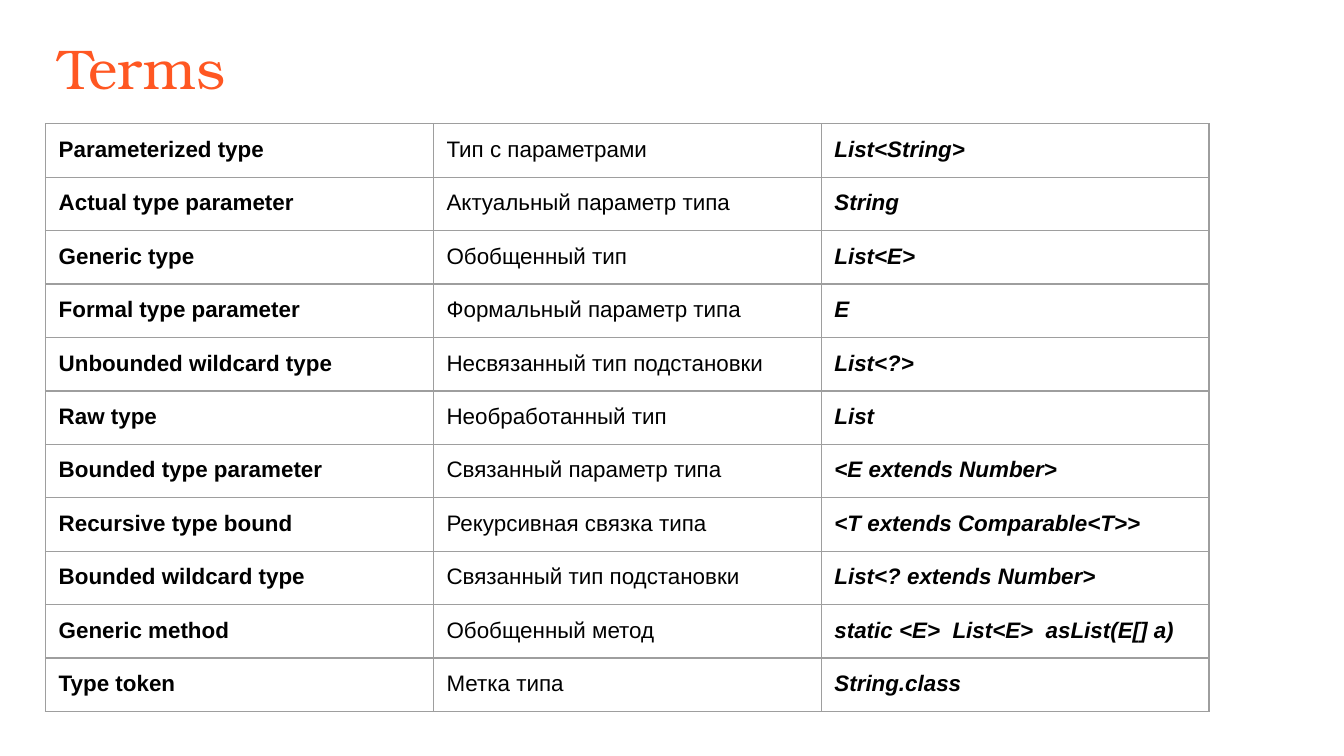
import pptx
import pptx.util
import pptx.dml.color
import pptx.enum.text
import pptx.oxml
from lxml import etree

Cm = pptx.util.Cm
Pt = pptx.util.Pt

TITLE = "Terms"
TERMS = [
    ("Parameterized type", "Тип с параметрами", "List<String>"),
    ("Actual type parameter", "Актуальный параметр типа", "String"),
    ("Generic type", "Обобщенный тип", "List<E>"),
    ("Formal type parameter", "Формальный параметр типа", "E"),
    ("Unbounded wildcard type", "Несвязанный тип подстановки", "List<?>"),
    ("Raw type", "Необработанный тип", "List"),
    ("Bounded type parameter", "Связанный параметр типа", "<E extends Number>"),
    ("Recursive type bound", "Рекурсивная связка типа", "<T extends Comparable<T>>"),
    ("Bounded wildcard type", "Связанный тип подстановки", "List<? extends Number>"),
    ("Generic method", "Обобщенный метод", "static <E>  List<E>  asList(E[] a)"),
    ("Type token", "Метка типа", "String.class"),
]
SHORT_ROWS = {4, 7, 9}

COLORS = {"title": "FF5722", "text": "000000", "border": "9E9E9E"}
TITLE_FONT = {"name": "TeX Gyre Bonum", "size": Pt(30)}
CELL_FONT = {"name": "Arial", "size": Pt(12)}
COLUMN_STYLES = [
    {"bold": True, "italic": False},
    {"bold": False, "italic": False},
    {"bold": True, "italic": True},
]
MARGINS = {f"margin_{side}": Cm(0.25) for side in ("left", "right", "top", "bottom")}

LEFT = Cm(0.86)
COLUMN_WIDTH = Cm(7.33)
ROW_HEIGHT, SHORT_HEIGHT = Cm(1.01), Cm(0.84)


def apply(target, values):
    for attribute, value in values.items():
        setattr(target, attribute, value)


def write(paragraph, text, color, font_values):
    run = paragraph.add_run()
    run.text = text
    apply(run.font, font_values)
    run.font.color.rgb = pptx.dml.color.RGBColor.from_string(COLORS[color])


def add_borders(cell):
    """Outline all four sides; the lines must precede the cell's fill."""
    properties = cell._tc.get_or_add_tcPr()
    for position, tag in enumerate(("lnL", "lnR", "lnT", "lnB")):
        line = etree.Element(pptx.oxml.ns.qn(f"a:{tag}"), w=str(Pt(0.75)))
        fill = etree.SubElement(line, pptx.oxml.ns.qn("a:solidFill"))
        etree.SubElement(fill, pptx.oxml.ns.qn("a:srgbClr"), val=COLORS["border"])
        properties.insert(position, line)


def add_title(slide):
    frame = slide.shapes.add_textbox(LEFT, Cm(0.38), Cm(23.67), Cm(1.65)).text_frame
    apply(frame, {**MARGINS, "word_wrap": True,
                  "vertical_anchor": pptx.enum.text.MSO_ANCHOR.TOP})
    write(frame.paragraphs[0], TITLE, "title", TITLE_FONT)


def add_terms(slide):
    heights = [SHORT_HEIGHT if i in SHORT_ROWS else ROW_HEIGHT for i in range(len(TERMS))]
    columns = len(COLUMN_STYLES)
    table = slide.shapes.add_table(len(TERMS), columns, LEFT, Cm(2.34),
                                   COLUMN_WIDTH * columns, sum(heights)).table
    apply(table, {"first_row": False, "horz_banding": False})
    for column in table.columns:
        column.width = COLUMN_WIDTH
    for r, (term, height) in enumerate(zip(TERMS, heights)):
        table.rows[r].height = height
        for c, (text, style) in enumerate(zip(term, COLUMN_STYLES)):
            cell = table.cell(r, c)
            apply(cell, MARGINS)
            cell.fill.background()
            add_borders(cell)
            write(cell.text_frame.paragraphs[0], text, "text", {**CELL_FONT, **style})


def main():
    presentation = pptx.Presentation()
    apply(presentation, {"slide_width": Cm(25.4), "slide_height": Cm(14.29)})
    slide = presentation.slides.add_slide(presentation.slide_layouts[6])
    add_title(slide)
    add_terms(slide)
    presentation.save("out.pptx")


if __name__ == "__main__":
    main()
